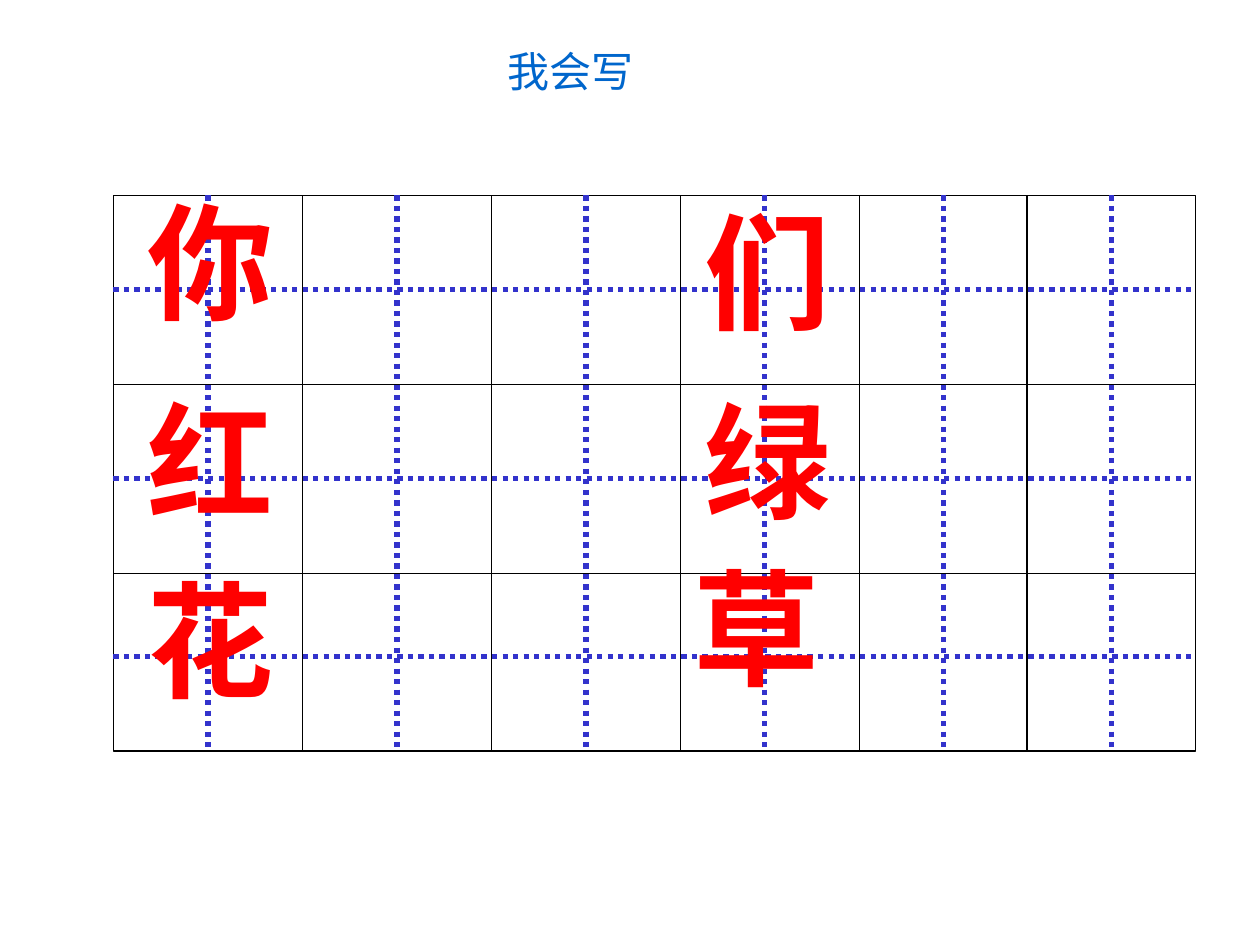
from itertools import accumulate
from pptx import Presentation
from pptx.dml.color import RGBColor
from pptx.enum.dml import MSO_LINE
from pptx.enum.shapes import MSO_CONNECTOR, MSO_SHAPE
from pptx.enum.text import MSO_ANCHOR, MSO_AUTO_SIZE, PP_ALIGN
from pptx.oxml.ns import qn
from pptx.util import Inches, Pt
from lxml.etree import SubElement


def paint(color_format, color):
    color_format.rgb = RGBColor.from_string(color)


def add_text(text, box, align, auto_size, size, name, color, bold):
    shape = slide.shapes.add_textbox(*map(Inches, box))
    frame = shape.text_frame
    paragraph = frame.paragraphs[0]
    run = paragraph.add_run()
    run.text = text
    formats = (
        (frame, {"word_wrap": False, "auto_size": auto_size, "vertical_anchor": MSO_ANCHOR.TOP}),
        (paragraph, {"alignment": align, "line_spacing": 0.9}),
        (run.font, {"size": Pt(size), "name": name, "bold": bold}),
    )
    for target, values in formats:
        for attribute, value in values.items():
            setattr(target, attribute, value)
    paint(run.font.color, color)
    SubElement(run.font._element, qn("a:ea")).set("typeface", "Noto Sans CJK SC")


presentation = Presentation()
presentation.slide_width, presentation.slide_height = Inches(10), Inches(7.5)
slide = presentation.slides.add_slide(presentation.slide_layouts[6])

columns = list(accumulate([1.5, 1.5, 1.5, 1.42, 1.33, 1.34], initial=0.9))
rows = list(accumulate([1.5, 1.5, 1.41], initial=1.55))
left, right, top, bottom = columns[0], columns[-1], rows[0], rows[-1]

frame = slide.shapes.add_shape(
    MSO_SHAPE.RECTANGLE, *map(Inches, (left, top, right - left, bottom - top))
)
frame.shadow.inherit = False
frame.fill.background()
paint(frame.line.color, "000000")
frame.line.width = Pt(0.75)

column_guides = [x + half for x, half in zip(columns, [0.75] * 3 + [0.67] * 3)]
row_guides = [y + half for y, half in zip(rows, [0.75, 0.75, 0.66])]
line_sets = (
    (columns[1:-1], rows[1:-1], "000000", {"width": Pt(0.75)}),
    (column_guides, row_guides, "3333CC", {"width": Pt(3), "dash_style": MSO_LINE.ROUND_DOT}),
)
for verticals, horizontals, color, values in line_sets:
    ends = [(left, y, right, y) for y in horizontals]
    ends += [(x, top, x, bottom) for x in verticals]
    for end in ends:
        line = slide.shapes.add_connector(MSO_CONNECTOR.STRAIGHT, *map(Inches, end))
        paint(line.line.color, color)
        for attribute, value in values.items():
            setattr(line.line, attribute, value)
        SubElement(line._element.spPr, qn("a:effectLst"))

characters = (
    ("你", 0, 0, 0.17, 0),
    ("红", 0, 1, 0.17, 0.08),
    ("花", 0, 2, 0.17, 0),
    ("们", 3, 0, 0.09, 0.08),
    ("绿", 3, 1, 0.09, 0.08),
    ("草", 3, 2, 0.01, -0.09),
)
for character, column, row, shift_x, shift_y in characters:
    box = (columns[column] + shift_x, rows[row] + shift_y, 1.2, 1.3)
    add_text(character, box, PP_ALIGN.LEFT, MSO_AUTO_SIZE.SHAPE_TO_FIT_TEXT,
             72, "Times New Roman", "FF0000", True)

add_text("我会写", (3.11, 0.36, 2.84, 0.94), PP_ALIGN.CENTER, MSO_AUTO_SIZE.NONE,
         24, "Noto Sans CJK SC", "0066CC", False)

presentation.save("out.pptx")
